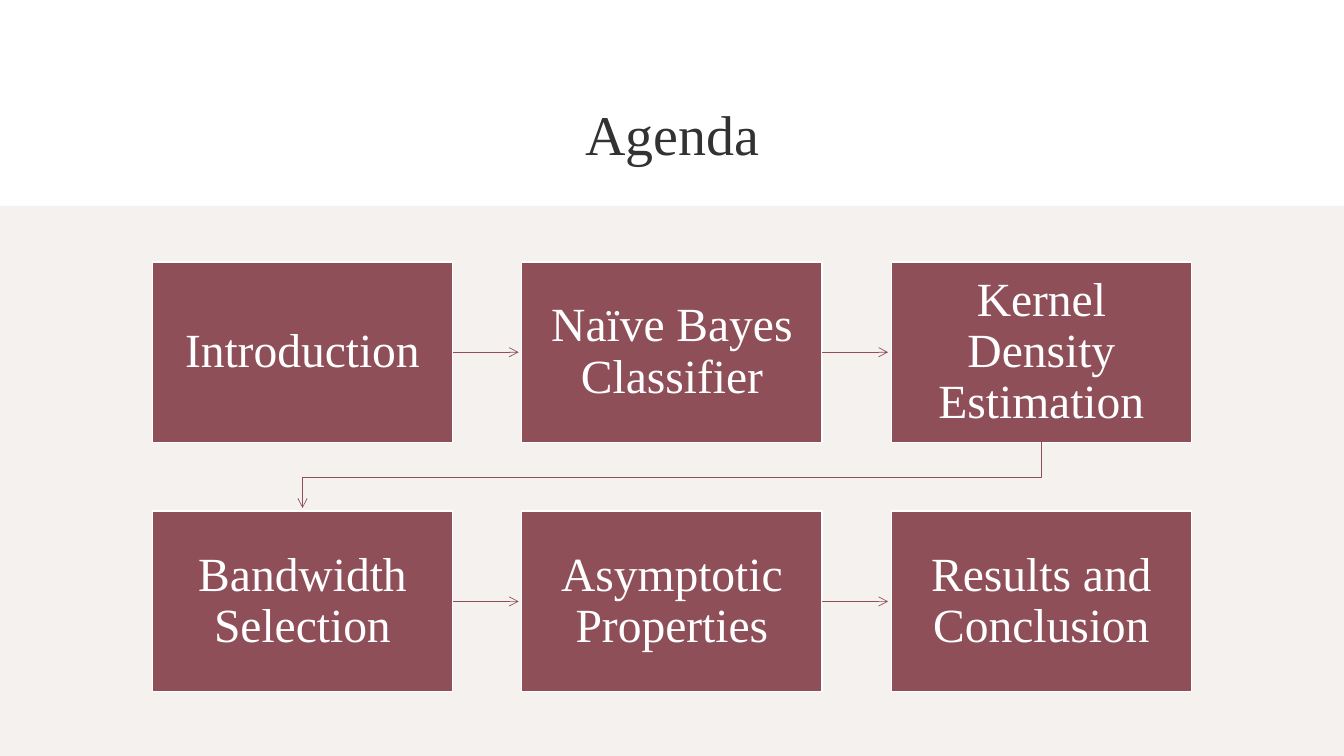
import pptx
import pptx.util
import pptx.dml.color
import pptx.enum.shapes
import pptx.enum.text
import pptx.oxml.ns
import lxml.etree

Cm = pptx.util.Cm
Pt = pptx.util.Pt

title = "Agenda"
steps = [
    ["Introduction", "Naïve Bayes Classifier", "Kernel Density Estimation"],
    ["Bandwidth Selection", "Asymptotic Properties", "Results and Conclusion"],
]

hues = {"panel": "F4F1EF", "box": "8F4F58", "white": "FFFFFF", "ink": "323232"}
face = "Times New Roman"
wide, high = 33.87, 19.05
band = 5.19
left, top = 3.84, 6.6
box_w, box_h = 7.57, 4.55
step_x, step_y = 9.31, 6.28
gap = 0.08
bend = 0.87

frame = {
    "word_wrap": True,
    "auto_size": pptx.enum.text.MSO_AUTO_SIZE.NONE,
    "vertical_anchor": pptx.enum.text.MSO_ANCHOR.MIDDLE,
}
inset = {"margin_" + side: Cm(0.38) for side in ("left", "top", "right", "bottom")}


def color(name):
    return pptx.dml.color.RGBColor.from_string(hues[name])


def apply(item, values):
    for name, value in values.items():
        setattr(item, name, value)


def write(shape, text, size, hue, extra, space):
    body = shape.text_frame
    body.text = text
    apply(body, {**frame, **extra})
    para = body.paragraphs[0]
    apply(para, {"alignment": pptx.enum.text.PP_ALIGN.CENTER, "line_spacing": space})
    apply(para.font, {"name": face, "size": Pt(size)})
    para.font.color.rgb = color(hue)


def block(x, y, w, h, hue):
    shape = slide.shapes.add_shape(
        pptx.enum.shapes.MSO_SHAPE.RECTANGLE, Cm(x), Cm(y), Cm(w), Cm(h))
    shape.shadow.inherit = False
    shape.fill.solid()
    shape.fill.fore_color.rgb = color(hue)
    shape.line.fill.background()
    return shape


def arrow(shape):
    shape.line.color.rgb = color("box")
    shape.line.width = Pt(0.5)
    props = shape.element.spPr
    qn = pptx.oxml.ns.qn
    lxml.etree.SubElement(props.get_or_add_ln(), qn("a:tailEnd"),
                          type="arrow", w="med", len="med")
    lxml.etree.SubElement(props, qn("a:effectLst"))


deck = pptx.Presentation()
apply(deck, {"slide_width": Cm(wide), "slide_height": Cm(high)})
slide = deck.slides.add_slide(deck.slide_layouts[5])

head = slide.shapes.title
apply(head, {"left": Cm(3.96), "top": Cm(1.96), "width": Cm(25.96), "height": Cm(2.77)})
write(head, title, 40, "ink", {}, 1.0)
block(0, band, wide, high - band, "panel")

for row, names in enumerate(steps):
    y = top + row * step_y
    for col, name in enumerate(names):
        x = left + col * step_x
        card = block(x, y, box_w, box_h, "box")
        card.line.color.rgb = color("white")
        card.line.width = Pt(1)
        write(card, name, 34, "white", inset, 0.9)
        if col < len(names) - 1:
            mid = Cm(y + box_h / 2)
            arrow(slide.shapes.add_connector(
                pptx.enum.shapes.MSO_CONNECTOR.STRAIGHT,
                Cm(x + box_w), mid, Cm(x + step_x - gap), mid))

first = left + box_w / 2
last = first + step_x * (len(steps[0]) - 1)
base = top + box_h
turn = [(last, base + bend), (first, base + bend), (first, top + step_y - gap)]
pen = slide.shapes.build_freeform(Cm(last), Cm(base))
pen.add_line_segments([(Cm(x), Cm(y)) for x, y in turn], close=False)
path = pen.convert_to_shape()
path.fill.background()
arrow(path)

deck.save("out.pptx")
